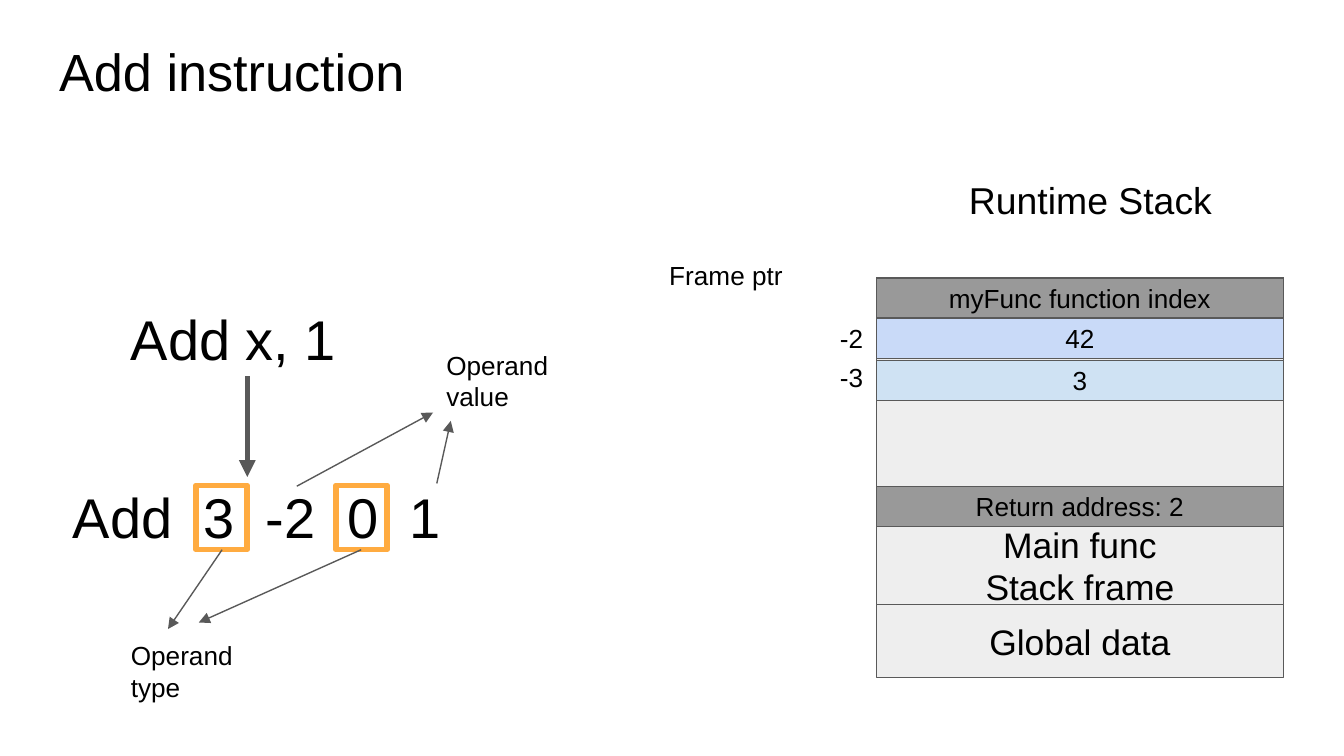
from dataclasses import dataclass

from lxml.etree import SubElement
from pptx import Presentation
from pptx.dml.color import RGBColor
from pptx.enum.shapes import MSO_CONNECTOR as Connector, MSO_SHAPE as Shape
from pptx.enum.text import MSO_ANCHOR as Anchor, MSO_AUTO_SIZE as AutoSize, PP_ALIGN as Align
from pptx.oxml.ns import qn
from pptx.util import Pt


@dataclass(frozen=True)
class Theme:
    font: str = "Arial"
    text: RGBColor = RGBColor(0x00, 0x00, 0x00)
    line: RGBColor = RGBColor(0x59, 0x59, 0x59)
    accent: RGBColor = RGBColor(0xFF, 0xAB, 0x40)
    header: RGBColor = RGBColor(0x99, 0x99, 0x99)
    empty: RGBColor = RGBColor(0xEE, 0xEE, 0xEE)
    local: RGBColor = RGBColor(0xC9, 0xDA, 0xF8)
    argument: RGBColor = RGBColor(0xCF, 0xE2, 0xF3)
    title_size: int = 28
    code_size: int = 30
    heading_size: int = 20
    region_size: int = 19
    label_size: int = 14


theme = Theme()


def write_text(shape, text, size=theme.label_size, align=Align.LEFT, anchor=Anchor.TOP,
               spacing=1.0, tabs=()):
    frame = shape.text_frame
    frame.auto_size = AutoSize.NONE
    frame.word_wrap = True
    frame.vertical_anchor = anchor
    frame.margin_left = frame.margin_right = frame.margin_top = frame.margin_bottom = Pt(7.2)
    frame.text = text
    for paragraph in frame.paragraphs:
        paragraph.alignment = align
        paragraph.line_spacing = spacing
        if tabs:
            tab_list = SubElement(paragraph._p.get_or_add_pPr(), qn("a:tabLst"))
            for position in tabs:
                SubElement(tab_list, qn("a:tab"), pos=str(Pt(position)), algn="l")
        paragraph.font.size = Pt(size)
        for run in paragraph.runs:
            run.font.name = theme.font
            run.font.size = Pt(size)
            run.font.color.rgb = theme.text


def add_box(left, top, width, height, fill, line, line_width):
    box = slide.shapes.add_shape(Shape.RECTANGLE, Pt(left), Pt(top), Pt(width), Pt(height))
    box.shadow.inherit = False
    if fill is None:
        box.fill.background()
    else:
        box.fill.solid()
        box.fill.fore_color.rgb = fill
    box.line.color.rgb = line
    box.line.width = Pt(line_width)
    return box


presentation = Presentation()
presentation.slide_width = Pt(720)
presentation.slide_height = Pt(405)
slide = presentation.slides.add_slide(presentation.slide_layouts[5])

title = slide.shapes.title
title.left, title.top, title.width, title.height = Pt(24.5), Pt(17.5), Pt(671), Pt(45)
write_text(title, "Add instruction", size=theme.title_size, spacing=0.9)

stack_left, stack_width = 469.5, 218
stack_rows = [
    (324, 39, theme.empty, "Global data", theme.region_size),
    (281.5, 42.5, theme.empty, "Main func\nStack frame", theme.region_size),
    (260.5, 21.5, theme.header, "Return address: 2", theme.label_size),
    (148.5, 112, theme.empty, "", theme.label_size),
    (149, 21.5, theme.header, "myFunc function index", theme.label_size),
    (170.5, 21.5, theme.local, "42", theme.label_size),
    (193, 21.5, theme.argument, "3", theme.label_size),
]
for top, height, fill, text, size in stack_rows:
    row = add_box(stack_left, top, stack_width, height, fill, theme.line, 0.75)
    if text:
        write_text(row, text, size=size, align=Align.CENTER, anchor=Anchor.MIDDLE)

code = {"size": theme.code_size, "anchor": Anchor.MIDDLE}
right = {"align": Align.RIGHT}
labels = [
    (512, 88, 175.5, 39, "Runtime Stack", {"size": theme.heading_size}),
    (348.5, 131.5, 78, 31.5, "Frame ptr", right),
    (391.5, 165.5, 78, 31.5, "-2", right),
    (391.5, 186.5, 78, 31.5, "-3", right),
    (63, 165.5, 218, 31.5, "Add x, 1", code),
    (32, 260.5, 254, 31.5, "Add\t3\t-2\t0\t1", {**code, "tabs": (70, 103.4, 146.8, 180.1)}),
    (63, 335.5, 78, 48, "Operand type", {}),
    (232, 180, 87, 48, "Operand value", {}),
]
for left, top, width, height, text, text_format in labels:
    label = slide.shapes.add_textbox(Pt(left), Pt(top), Pt(width), Pt(height))
    write_text(label, text, **text_format)

for operand_left in (105, 180):
    add_box(operand_left, 260, 27.5, 34.5, None, theme.accent, 3)

arrows = [
    (132.5, 201.5, 132.5, 255.5, 3),
    (119, 294.5, 90, 337, 0.75),
    (193.5, 294.5, 106.5, 333.5, 0.75),
    (159, 260.5, 232, 221, 0.75),
    (234, 259, 241.5, 225.5, 0.75),
]
for start_x, start_y, end_x, end_y, width in arrows:
    arrow = slide.shapes.add_connector(
        Connector.STRAIGHT, Pt(start_x), Pt(start_y), Pt(end_x), Pt(end_y))
    arrow.line.color.rgb = theme.line
    arrow.line.width = Pt(width)
    SubElement(arrow.line._get_or_add_ln(), qn("a:tailEnd"), type="triangle")
    SubElement(arrow._element.spPr, qn("a:effectLst"))

presentation.save("out.pptx")
